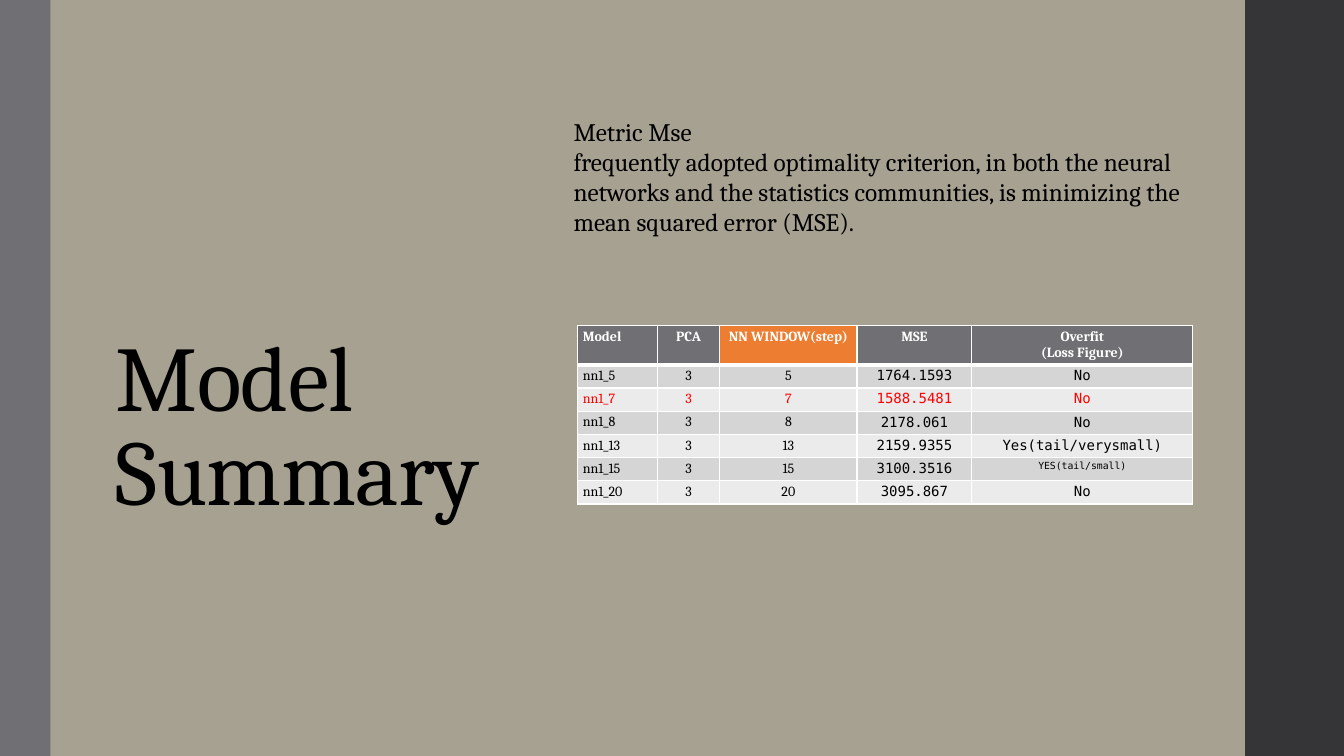
from dataclasses import dataclass

from lxml import etree
from pptx import Presentation
from pptx.dml.color import RGBColor
from pptx.enum.shapes import MSO_SHAPE
from pptx.enum.text import MSO_ANCHOR, MSO_AUTO_SIZE, PP_ALIGN
from pptx.oxml.ns import qn
from pptx.util import Inches, Pt

RECTANGLE = MSO_SHAPE.RECTANGLE
BOTTOM = MSO_ANCHOR.BOTTOM
NO_AUTOFIT = MSO_AUTO_SIZE.NONE
FIT_SHAPE = MSO_AUTO_SIZE.SHAPE_TO_FIT_TEXT
LEFT, CENTER = PP_ALIGN.LEFT, PP_ALIGN.CENTER
TITLE_ONLY_LAYOUT = 5


@dataclass(frozen=True)
class Theme:
    """Colours, fonts and type sizes of the slide."""

    background: str = "A7A192"
    dark_band: str = "353537"
    grey: str = "6F6F74"
    orange: str = "ED7D31"
    row_dark: str = "D5D5D6"
    row_light: str = "EBEBEB"
    white: str = "FFFFFF"
    black: str = "000000"
    red: str = "FF0000"
    serif: str = "Cambria"
    mono: str = "DejaVu Sans Mono"
    title_size: int = 66
    body_size: int = 18
    table_size: int = 10
    small_size: int = 7


THEME = Theme()
HEADERS = ["Model\u00a0", "PCA", "NN WINDOW(step)", "MSE", "Overfit\n(Loss Figure)"]
MODELS = [
    ("nn1_5", "3", "5", "1764.1593", "No"),
    ("nn1_7", "3", "7", "1588.5481", "No"),
    ("nn1_8", "3", "8", "2178.061", "No"),
    ("nn1_13", "3", "13", "2159.9355", "Yes(tail/verysmall)"),
    ("nn1_15", "3", "15", "3100.3516", "YES(tail/small)"),
    ("nn1_20", "3", "20", "3095.867", "No"),
]
BEST_MODEL = "nn1_7"
SMALL_TEXT = "YES(tail/small)"
COLUMN_WIDTHS = [0.79, 0.62, 1.36, 1.14, 2.19]
HEADER_HEIGHT, ROW_HEIGHT = 0.39, 0.23
METRIC_TEXT = [
    "Metric Mse\u00a0",
    "frequently adopted optimality criterion, in both the neural networks and "
    "the statistics communities, is minimizing the mean squared error (MSE).",
]


def add_text_run(paragraph, text, size, color, font=THEME.serif, bold=False):
    """Append one formatted run to a paragraph and return it."""
    run = paragraph.add_run()
    run.text = text
    run.font.name = font
    run.font.size = Pt(size)
    run.font.bold = bold
    run.font.color.rgb = RGBColor.from_string(color)
    return run


def write_paragraphs(text_frame, lines, alignment, *style):
    """Write each line as its own paragraph in one style."""
    for index, line in enumerate(lines):
        paragraph = text_frame.paragraphs[0] if index == 0 else text_frame.add_paragraph()
        paragraph.alignment = alignment
        add_text_run(paragraph, line, *style)


def add_band(slide, box, color):
    """Fill a vertical side band."""
    band = slide.shapes.add_shape(RECTANGLE, *map(Inches, box))
    band.shadow.inherit = False
    band.fill.solid()
    band.fill.fore_color.rgb = RGBColor.from_string(color)
    band.line.fill.background()


def place_title(slide, box):
    """Place the title at the bottom of its box."""
    title = slide.shapes.title
    title.left, title.top, title.width, title.height = map(Inches, box)
    text_frame = title.text_frame
    text_frame.word_wrap = True
    text_frame.auto_size = NO_AUTOFIT
    text_frame.vertical_anchor = BOTTOM
    paragraph = text_frame.paragraphs[0]
    paragraph.alignment = LEFT
    paragraph.line_spacing = 0.85
    run = add_text_run(paragraph, "Model Summary", THEME.title_size, THEME.black)
    run.font._element.set("spc", "-50")


def add_metric_text(slide, box):
    """Add the explanation of the metric."""
    text_frame = slide.shapes.add_textbox(*map(Inches, box)).text_frame
    text_frame.word_wrap = True
    text_frame.auto_size = FIT_SHAPE
    write_paragraphs(text_frame, METRIC_TEXT, LEFT, THEME.body_size, THEME.black)


def set_borders(cell, top, bottom):
    """Draw white cell borders with the given top and bottom widths in points."""
    properties = cell._tc.get_or_add_tcPr()
    widths = {"a:lnL": 1, "a:lnR": 1, "a:lnT": top, "a:lnB": bottom}
    for position, (tag, width) in enumerate(widths.items()):
        line = etree.Element(qn(tag), w=str(Pt(width)))
        fill = etree.SubElement(line, qn("a:solidFill"))
        etree.SubElement(fill, qn("a:srgbClr"), val=THEME.white)
        properties.insert(position, line)


def cell_style(row, column, text):
    """Return the fill and the text style of a table cell."""
    if row == 0:
        fill = THEME.orange if column == 2 else THEME.grey
        return fill, (THEME.table_size, THEME.white, THEME.serif, True)
    fill = THEME.row_dark if row % 2 else THEME.row_light
    color = THEME.red if MODELS[row - 1][0] == BEST_MODEL else THEME.black
    font = THEME.mono if column >= 3 else THEME.serif
    size = THEME.small_size if text == SMALL_TEXT else THEME.table_size
    return fill, (size, color, font)


def add_model_table(slide, box):
    """Add the table that compares the models."""
    rows = [HEADERS, *MODELS]
    frame = slide.shapes.add_table(len(rows), len(HEADERS), *map(Inches, box))
    table = frame.table
    table.first_row = table.horz_banding = False
    for column, width in zip(table.columns, COLUMN_WIDTHS):
        column.width = Inches(width)
    for row_index, values in enumerate(rows):
        table.rows[row_index].height = Inches(ROW_HEIGHT if row_index else HEADER_HEIGHT)
        for column_index, text in enumerate(values):
            cell = table.cell(row_index, column_index)
            cell.margin_left = cell.margin_right = Inches(0.05)
            cell.margin_top = cell.margin_bottom = Inches(0.03)
            fill, style = cell_style(row_index, column_index, text)
            cell.fill.solid()
            cell.fill.fore_color.rgb = RGBColor.from_string(fill)
            set_borders(cell, 3 if row_index == 1 else 1, 3 if row_index == 0 else 1)
            alignment = CENTER if column_index else LEFT
            write_paragraphs(cell.text_frame, text.split("\n"), alignment, *style)


def build_summary_slide(presentation):
    """Build the model summary slide."""
    slide = presentation.slides.add_slide(presentation.slide_layouts[TITLE_ONLY_LAYOUT])
    slide.background.fill.solid()
    slide.background.fill.fore_color.rgb = RGBColor.from_string(THEME.background)
    add_band(slide, (12.35, 0, 0.98, 7.5), THEME.dark_band)
    add_band(slide, (0, 0, 0.5, 7.5), THEME.grey)
    place_title(slide, (1.05, 0.83, 5.61, 4.42))
    add_model_table(slide, (5.73, 3.23, 6.1, 1.79))
    add_metric_text(slide, (5.59, 1.1, 6.27, 1.31))


def main():
    """Create and save the presentation."""
    presentation = Presentation()
    presentation.slide_width = Inches(13.33)
    presentation.slide_height = Inches(7.5)
    build_summary_slide(presentation)
    presentation.save("out.pptx")


if __name__ == "__main__":
    main()
